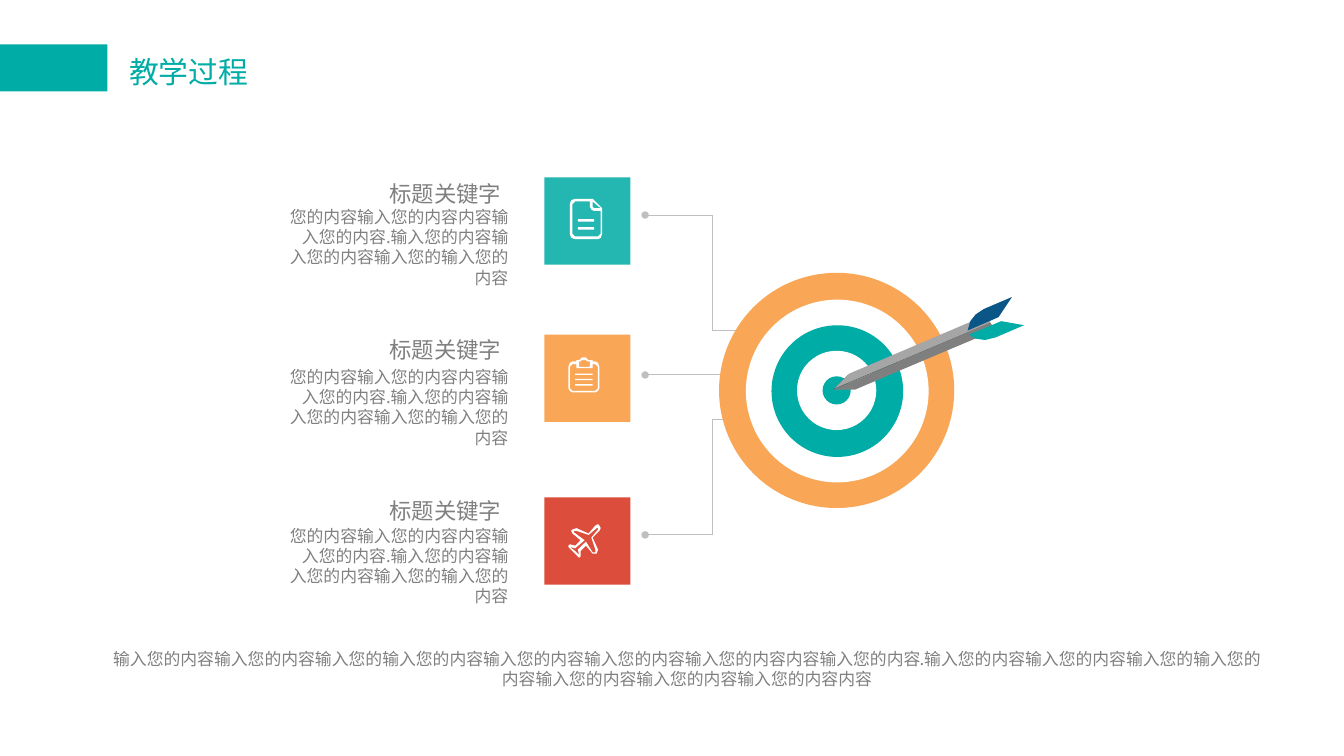
from lxml import etree
from pptx import Presentation
from pptx.dml.color import RGBColor
from pptx.enum.shapes import MSO_CONNECTOR, MSO_SHAPE
from pptx.enum.text import MSO_ANCHOR, MSO_AUTO_SIZE, PP_ALIGN
from pptx.oxml.ns import qn
from pptx.util import Pt

PX = 9144
RECT, OVAL = MSO_SHAPE.RECTANGLE, MSO_SHAPE.OVAL
STRAIGHT = MSO_CONNECTOR.STRAIGHT
LEFT, CENTER, RIGHT = PP_ALIGN.LEFT, PP_ALIGN.CENTER, PP_ALIGN.RIGHT
TOP, MIDDLE = MSO_ANCHOR.TOP, MSO_ANCHOR.MIDDLE
NO_FIT = MSO_AUTO_SIZE.NONE

TEAL, ORANGE, RED, WHITE = "00ACA6", "F9A656", "DD4D3B", "FFFFFF"
GRAY, LINE_GRAY = "808080", "BFBFBF"
CJK = "Noto Sans CJK SC"

KEYWORD = "标题关键字"
DETAIL = "您的内容输入您的内容内容输入您的内容.输入您的内容输入您的内容输入您的输入您的内容"
SUMMARY = (
    "输入您的内容输入您的内容输入您的输入您的内容输入您的内容输入您的内容输入您的内容内容输入您的内容."
    "输入您的内容输入您的内容输入您的输入您的内容输入您的内容输入您的内容输入您的内容内容"
)


def bar(left, top, right, bottom):
    return [(left, top), (right, top), (right, bottom), (left, bottom)]


DOCUMENT = [
    [(17, 0), (4, 0), (1, 1), (0, 4), (0, 26), (1, 29), (4, 30), (21, 30),
     (23, 29), (24, 26), (24, 7)],
    [(23, 26), (21, 28), (4, 28), (2, 26), (2, 4), (4, 2), (15, 2), (15, 6),
     (16, 8), (18, 9), (23, 9)],
    [(17, 2), (17, 6), (18, 7), (23, 7)],
    bar(6, 15, 18, 17),
    bar(6, 21, 18, 23),
]
CLIPBOARD = [
    [(20, 3), (18, 3), (18, 2), (15, 2), (13, 0), (10, 0), (8, 2), (6, 2), (6, 3),
     (3, 3), (1, 4), (0, 7), (0, 23), (1, 25), (3, 26), (20, 26), (22, 25),
     (23, 23), (23, 7), (22, 4)],
    [(8, 3), (9, 3), (10, 2), (13, 2), (14, 3), (16, 3), (16, 7), (8, 7)],
    [(22, 23), (20, 25), (3, 25), (1, 23), (1, 7), (3, 5), (6, 5), (6, 8),
     (18, 8), (18, 5), (20, 5), (22, 7)],
    *[bar(5, top, 18, top + 1) for top in (12, 16, 20)],
]
PLANE = [
    [(24, 1), (23, 0), (21, 1), (16, 7), (7, 3), (4, 4), (3, 5), (4, 7), (10, 12),
     (6, 16), (2, 15), (1, 16), (1, 17), (5, 21), (9, 25), (10, 24), (10, 20),
     (14, 16), (19, 22), (22, 22), (23, 19), (19, 10), (24, 5), (25, 3)],
    [(23, 4), (18, 10), (21, 19), (21, 21), (19, 21), (14, 13), (8, 19), (9, 23),
     (6, 20), (2, 17), (6, 18), (13, 12), (5, 6), (5, 5), (7, 5), (16, 8),
     (22, 3), (23, 3)],
]
DART = [
    ("515D5D", [(8, 76), (111, 32), (113, 38), (-3, 87)]),
    ("828286", [(13, 87), (116, 43), (113, 38), (-3, 87)]),
    ("A6A6A6", [(9, 75), (112, 31), (114, 37), (-2, 86)]),
    ("7F7F7F", [(14, 86), (117, 43), (114, 37), (-2, 87)]),
    ("0A5686", [(97, 43), (99, 36), (103, 31), (109, 27), (130, 18), (120, 33)]),
    (TEAL, [(98, 46), (103, 49), (110, 50), (118, 48), (139, 39), (122, 36)]),
]


def color(value):
    return RGBColor.from_string(value)


def paint(shape, fill):
    shape.shadow.inherit = False
    shape.fill.solid()
    shape.fill.fore_color.rgb = color(fill)
    shape.line.fill.background()


def add_block(slide, kind, box, fill):
    block = slide.shapes.add_shape(kind, *[n * PX for n in box])
    paint(block, fill)
    return block


def add_outline(slide, left, top, contours, fill):
    first, *others = contours
    builder = slide.shapes.build_freeform(*first[0], scale=PX)
    builder.add_line_segments(first[1:], close=True)
    for contour in others:
        builder.move_to(*contour[0])
        builder.add_line_segments(contour[1:], close=True)
    paint(builder.convert_to_shape(left * PX, top * PX), fill)


def write(shape, text, size, fill, font, align, anchor, insets, wrap=True):
    frame = shape.text_frame
    frame.auto_size = NO_FIT
    frame.word_wrap = wrap
    frame.vertical_anchor = anchor
    frame.margin_left = frame.margin_right = insets[0] * PX
    frame.margin_top = frame.margin_bottom = insets[1] * PX
    paragraph = frame.paragraphs[0]
    paragraph.text = text
    paragraph.alignment = align
    paragraph.line_spacing = Pt(size * 1.2)
    paragraph.font.size = Pt(size)
    paragraph.font.name = font
    paragraph.font.color.rgb = color(fill)
    defaults = paragraph._p.pPr.find(qn("a:defRPr"))
    etree.SubElement(defaults, qn("a:ea"), typeface=font)


def add_caption(slide, box, text, size, align, insets):
    caption = slide.shapes.add_textbox(*[n * PX for n in box])
    write(caption, text, size, GRAY, CJK, align, TOP, insets)


def add_header(slide, left, top):
    add_block(slide, RECT, (left, top, 80, 35), TEAL)
    title = slide.shapes.title
    title.left, title.top = (left + 88) * PX, (top + 3) * PX
    title.width, title.height = 105 * PX, 35 * PX
    write(title, "教学过程", 16, TEAL, "Calibri", LEFT, MIDDLE, (8, 4), wrap=False)


def add_leader(slide, points):
    for start, end in zip(points, points[1:]):
        leader = slide.shapes.add_connector(STRAIGHT, *[n * PX for n in start + end])
        leader.line.color.rgb = color(LINE_GRAY)
        leader.line.width = Pt(0.5)
        properties = leader._element.spPr
        if end == points[-1]:
            stroke = properties.find(qn("a:ln"))
            etree.SubElement(stroke, qn("a:tailEnd"), type="oval", w="sm", len="sm")
        etree.SubElement(properties, qn("a:effectLst"))


def add_step(slide, left, top, tile_drop, detail_drop, fill, opacity, icon, icon_at):
    add_caption(slide, (left, top, 198, 40), KEYWORD, 12, RIGHT, (20, 10))
    add_caption(slide, (left + 8, top + detail_drop, 185, 71), DETAIL, 9, RIGHT, (10, 5))
    tile_left, tile_top = left + 210, top + tile_drop
    tile = add_block(slide, RECT, (tile_left, tile_top, 64, 65), fill)
    if opacity < 100:
        tint = tile._element.spPr.find(qn("a:solidFill"))[0]
        etree.SubElement(tint, qn("a:alpha"), val=str(opacity * 1000))
    add_outline(slide, tile_left + icon_at[0], tile_top + icon_at[1], icon, WHITE)


def add_target(slide, left, top, size):
    rings = [(size, ORANGE), (136, WHITE), (98, TEAL), (59, WHITE), (21, TEAL)]
    for diameter, fill in rings:
        inset = (size - diameter + 1) // 2
        add_block(slide, OVAL, (left + inset, top + inset, diameter, diameter), fill)
    for fill, outline in DART:
        add_outline(slide, left + size // 2 + 1, top, [outline], fill)


def main():
    deck = Presentation()
    deck.slide_width, deck.slide_height = 1000 * PX, 1125 * PX // 2
    slide = deck.slides.add_slide(deck.slide_layouts[5])
    add_header(slide, 0, 33)
    add_caption(slide, (81, 483, 860, 30), SUMMARY, 9, CENTER, (0, 0))
    add_leader(slide, [(592, 246), (530, 246), (530, 160), (480, 160)])
    add_leader(slide, [(592, 279), (480, 279)])
    add_leader(slide, [(592, 312), (530, 312), (530, 398), (480, 398)])
    add_step(slide, 195, 124, 8, 25, TEAL, 86, DOCUMENT, (19, 16))
    add_step(slide, 195, 240, 9, 28, ORANGE, 100, CLIPBOARD, (18, 17))
    add_step(slide, 195, 360, 10, 26, RED, 100, PLANE, (17, 20))
    add_target(slide, 535, 203, 175)
    deck.save("out.pptx")


if __name__ == "__main__":
    main()
